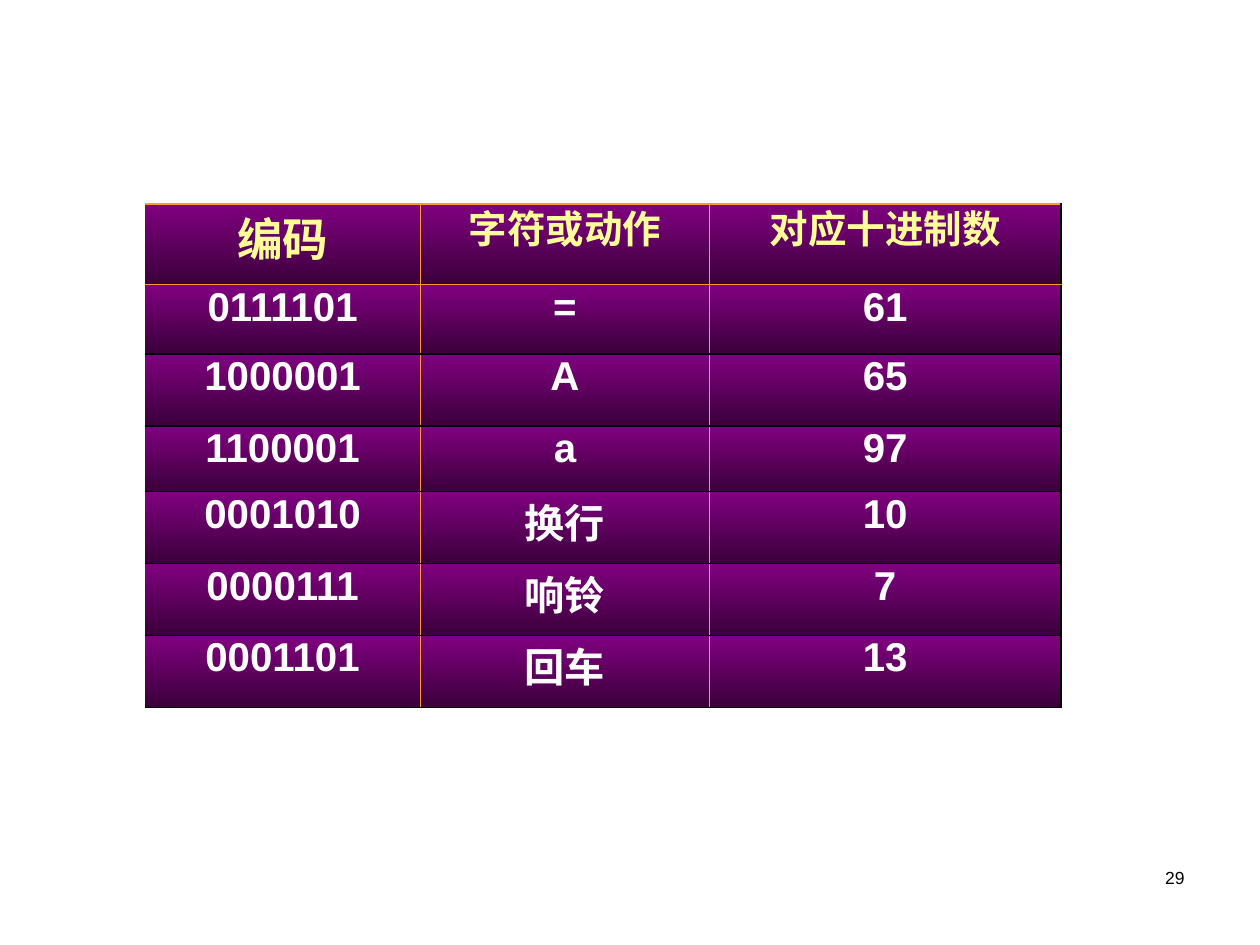
from lxml import etree
from pptx import Presentation
from pptx.dml.color import RGBColor
from pptx.enum.text import MSO_ANCHOR, PP_ALIGN
from pptx.oxml.ns import qn
from pptx.util import Cm, Pt

CENTER, RIGHT, TOP = PP_ALIGN.CENTER, PP_ALIGN.RIGHT, MSO_ANCHOR.TOP
ORANGE, BLACK, WHITE, YELLOW = "FF9933", "000000", "FFFFFF", "FFFF99"
PURPLE, DARK_PURPLE = "800080", "3B003B"
COLUMN_WIDTHS = [5.56, 5.82, 7.09]
ROW_HEIGHTS = [1.63, 1.4, 1.45, 1.32, 1.45, 1.45, 1.45]
CODES = [
    ("编码", "字符或动作", "对应十进制数"),
    ("0111101", "=", "61"),
    ("1000001", "A", "65"),
    ("1100001", "a", "97"),
    ("0001010", "换行", "10"),
    ("0000111", "响铃", "7"),
    ("0001101", "回车", "13"),
]


def rgb(color):
    """Turn a hex string into a colour."""
    return RGBColor.from_string(color)


def write(frame, text, font, size, color, align, bold=False):
    """Write one formatted paragraph into a text frame."""
    frame.text = text
    paragraph = frame.paragraphs[0]
    paragraph.alignment = align
    style = paragraph.runs[0].font
    style.name, style.size, style.bold = font, Pt(size), bold
    style.color.rgb = rgb(color)
    return paragraph


def shade(cell):
    """Fill a cell with the vertical purple gradient."""
    cell.fill.gradient()
    cell.fill.gradient_angle = 270
    for stop, color in zip(cell.fill.gradient_stops, (PURPLE, DARK_PURPLE)):
        stop.color.rgb = rgb(color)


def draw_borders(cell, borders):
    """Draw left, right, top and bottom borders from (colour, points) pairs."""
    properties = cell._tc.get_or_add_tcPr()
    for position, (side, (color, width)) in enumerate(zip("LRTB", borders)):
        line = etree.Element(qn(f"a:ln{side}"), w=str(Pt(width)))
        if color:
            fill = etree.SubElement(line, qn("a:solidFill"))
            etree.SubElement(fill, qn("a:srgbClr"), val=color)
        else:
            etree.SubElement(line, qn("a:noFill"))
        properties.insert(position, line)


def format_cell(cell, text, row, column):
    """Set the text, fill and borders that a cell's position calls for."""
    cell.margin_left = cell.margin_right = cell.margin_top = cell.margin_bottom = 0
    cell.vertical_anchor = TOP
    if row == 0:
        size = 22 if column else 26
        heading = write(cell.text_frame, text, "Times New Roman", size, YELLOW, CENTER, True)
        if column:
            heading.line_spacing = 0.9
    else:
        write(cell.text_frame, text, "Arial", 23, WHITE, CENTER, True)
    shade(cell)
    last = column == len(COLUMN_WIDTHS) - 1
    draw_borders(cell, [
        (ORANGE if column else None, 1),
        (BLACK, 0.75) if last else (ORANGE, 1),
        (ORANGE if row < 2 else BLACK, 1),
        (BLACK if row else ORANGE, 1),
    ])


def add_code_table(slide):
    """Add the table of character codes."""
    frame = slide.shapes.add_table(
        len(ROW_HEIGHTS), len(COLUMN_WIDTHS), Cm(2.92), Cm(4.11),
        Cm(sum(COLUMN_WIDTHS)), Cm(sum(ROW_HEIGHTS)))
    table = frame.table
    table.horz_banding = False
    for column, width in zip(table.columns, COLUMN_WIDTHS):
        column.width = Cm(width)
    for row, height in zip(table.rows, ROW_HEIGHTS):
        row.height = Cm(height)
    for row, texts in enumerate(CODES):
        for column, text in enumerate(texts):
            format_cell(table.cell(row, column), text, row, column)


def add_page_number(slide, number):
    """Add the page number at the lower right."""
    box = slide.shapes.add_textbox(Cm(18.21), Cm(17.35), Cm(5.92), Cm(1.27))
    box.text_frame.word_wrap = True
    write(box.text_frame, number, "Arial", 10, BLACK, RIGHT)


def main():
    """Build and save the slide."""
    presentation = Presentation()
    presentation.slide_width, presentation.slide_height = Cm(25.4), Cm(19.05)
    slide = presentation.slides.add_slide(presentation.slide_layouts[6])
    add_page_number(slide, "29")
    add_code_table(slide)
    presentation.save("out.pptx")


if __name__ == "__main__":
    main()
